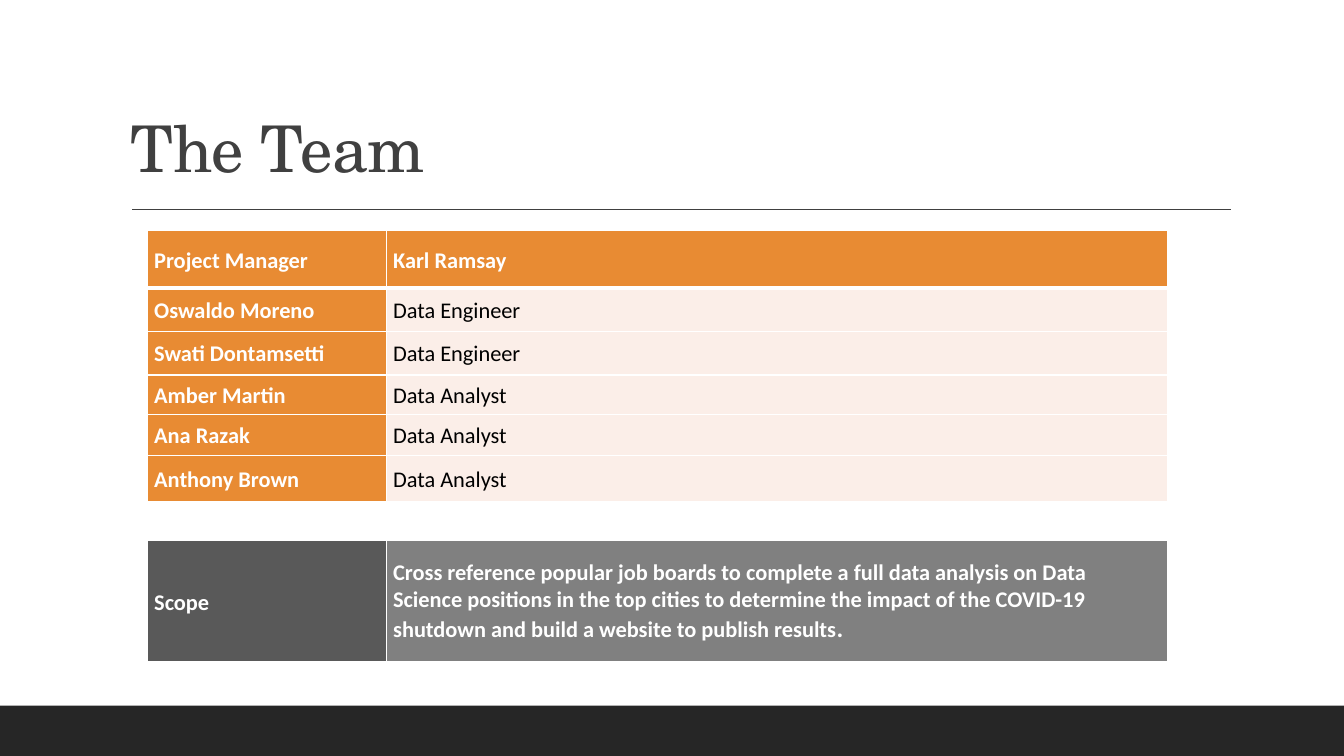
from lxml.etree import SubElement
from pptx import Presentation
from pptx.dml.color import RGBColor
from pptx.enum.shapes import MSO_CONNECTOR, MSO_SHAPE
from pptx.enum.text import MSO_ANCHOR
from pptx.oxml.ns import qn
from pptx.util import Inches, Pt

WHITE, BLACK, DARK = "FFFFFF", "000000", "404040"
ORANGE, PINK = "E88B33", "FBEEE8"


def color(value):
    return RGBColor.from_string(value)


def add_grid(left, top, heights, rows, fills, header_rule):
    """Add a two-column table whose first row and first column are bold white."""
    widths = [2.37, 7.75]
    table = slide.shapes.add_table(
        len(rows), 2, Inches(left), Inches(top),
        Inches(sum(widths)), Inches(sum(heights))).table
    for column, width in zip(table.columns, widths):
        column.width = Inches(width)
    for r, (texts, height) in enumerate(zip(rows, heights)):
        table.rows[r].height = Inches(height)
        for c, text in enumerate(texts):
            cell = table.cell(r, c)
            cell.vertical_anchor = MSO_ANCHOR.MIDDLE
            cell.margin_left = cell.margin_right = Inches(0.07)
            cell.margin_top = cell.margin_bottom = 0
            paragraph = cell.text_frame.paragraphs[0]
            paragraph.text = text
            paragraph.line_spacing = 1.07
            paragraph.space_before = paragraph.space_after = Pt(2)
            bold = r == 0 or c == 0
            font = paragraph.runs[0].font
            font.name, font.size, font.bold = "Calibri", Pt(16), bold
            font.color.rgb = color(WHITE if bold else BLACK)

            # Borders come before the fill in the cell properties
            properties = cell._tc.get_or_add_tcPr()
            for side in ("lnL", "lnR", "lnT", "lnB"):
                thick = (r, side) in ((0, "lnB"), (1, "lnT"))
                line = SubElement(properties, qn(f"a:{side}"),
                                  w=str(Pt(header_rule if thick else 1)))
                solid = SubElement(line, qn("a:solidFill"))
                SubElement(solid, qn("a:srgbClr"), val=WHITE)
            cell.fill.solid()
            cell.fill.fore_color.rgb = color(fills[r][c])
    return table


presentation = Presentation()
presentation.slide_width = Inches(13.33)
presentation.slide_height = Inches(7.5)
slide = presentation.slides.add_slide(presentation.slide_layouts[6])

# Footer band and title rule
footer = slide.shapes.add_shape(
    MSO_SHAPE.RECTANGLE, 0, Inches(7), Inches(13.33), Inches(0.5))
footer.shadow.inherit = False
footer.fill.solid()
footer.fill.fore_color.rgb = color("262626")
footer.line.fill.background()

rule = slide.shapes.add_connector(
    MSO_CONNECTOR.STRAIGHT, Inches(1.31), Inches(2.08), Inches(12.21), Inches(2.08))
rule.line.color.rgb = color(DARK)
rule.line.width = Pt(1)
SubElement(rule._element.spPr, qn("a:effectLst"))

# Title
title = slide.shapes.add_textbox(Inches(1.2), Inches(0.31), Inches(11), Inches(1.59))
title.text_frame.word_wrap = True
title.text_frame.vertical_anchor = MSO_ANCHOR.BOTTOM
title.text_frame.text = "The Team"
paragraph = title.text_frame.paragraphs[0]
paragraph.line_spacing = 0.9
font = paragraph.runs[0].font
font.name, font.size = "TeX Gyre Schola", Pt(46)
font.color.rgb = color(DARK)
font._element.set("spc", "-50")

# Team
team = [
    ("Project Manager", "Karl Ramsay"),
    ("Oswaldo Moreno", "Data Engineer"),
    ("Swati Dontamsetti", "Data Engineer"),
    ("Amber Martin", "Data Analyst"),
    ("Ana Razak", "Data Analyst"),
    ("Anthony Brown", "Data Analyst"),
]
team_fills = [(ORANGE, ORANGE)] + [(ORANGE, PINK)] * (len(team) - 1)
add_grid(1.46, 2.29, [0.57, 0.43, 0.43, 0.39, 0.41, 0.46], team, team_fills, 3)

# Scope
scope = ("Cross reference popular job boards to complete a full data analysis on Data "
         "Science positions in the top cities to determine the impact of the COVID-19 "
         "shutdown and build a website to publish results")
scope_table = add_grid(1.46, 5.36, [1.22], [("Scope", scope)], [("595959", "808080")], 3)
paragraph = scope_table.cell(0, 1).text_frame.paragraphs[0]
paragraph.line_spacing = 1.0
paragraph.space_before = paragraph.space_after = Pt(0)
full_stop = paragraph.add_run()
full_stop.text = "."
font = full_stop.font
font.name, font.size, font.bold = "Calibri", Pt(18), True
font.color.rgb = color(WHITE)

presentation.save("out.pptx")
